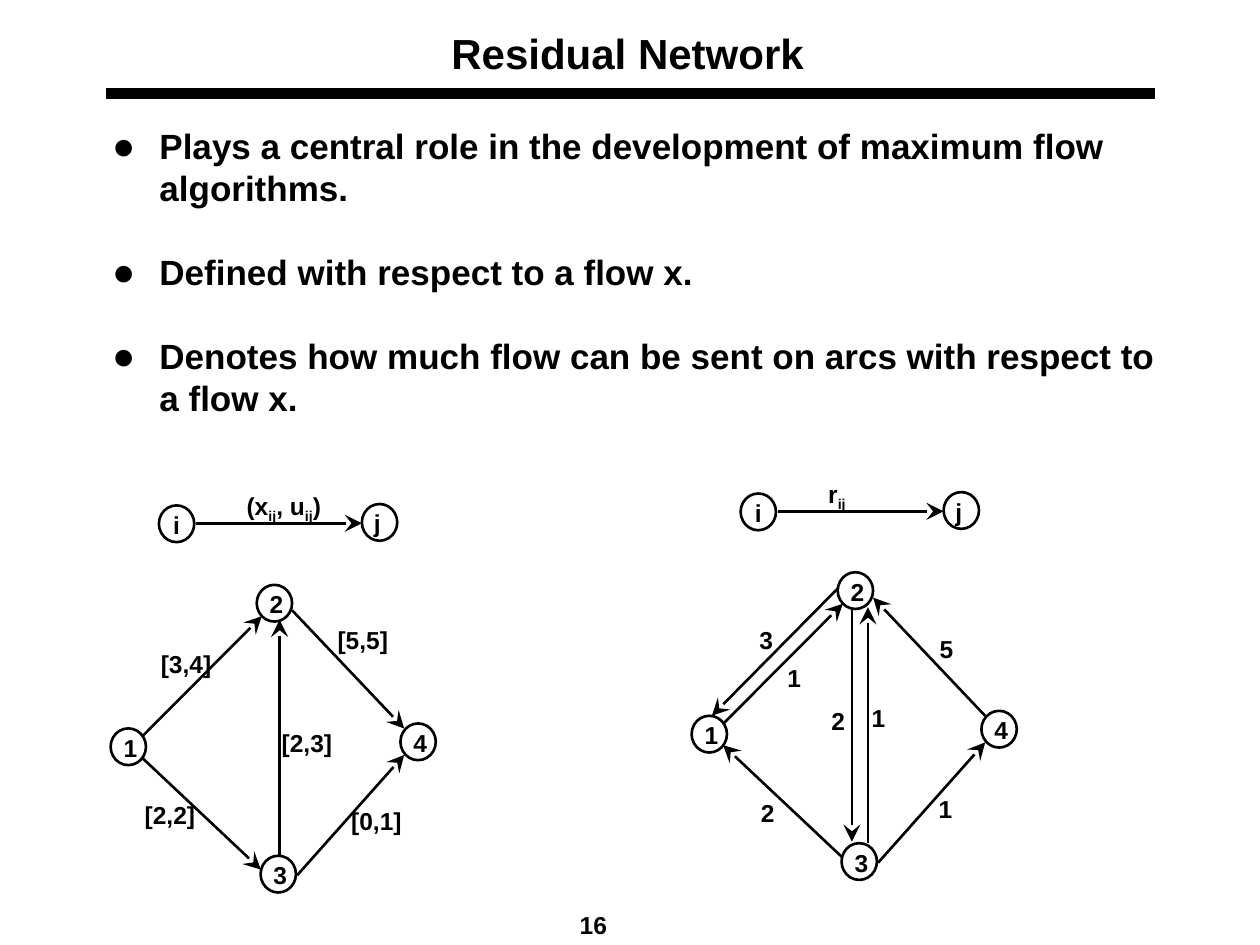
import pptx
import pptx.util
import pptx.dml.color
import pptx.enum.shapes
import pptx.enum.text
import pptx.oxml.ns
from lxml import etree

Pt = pptx.util.Pt
qn = pptx.oxml.ns.qn
ALIGN = pptx.enum.text.PP_ALIGN
INK = "000000"
NODE_W, NODE_H = 20.2, 21
TEXT_H = 24.5
DIGIT_W, PAIR_W = 22.3, 43.2

# Network geometry, relative to the top left of the network box
NODES = {"1": (0, 82), "2": (83.5, 0), "3": (85.7, 154.8), "4": (165.6, 79.2)}
ARC_12 = (18.7, 86, 86.4, 18)
ARC_13 = (18, 98.8, 85.9, 162.7)
ARC_24 = (103.7, 14.5, 167.8, 82.1)
ARC_34 = (106.6, 166, 167.8, 97.2)


def color(hex_code):
    return pptx.dml.color.RGBColor.from_string(hex_code)


def reverse(arc):
    return arc[2:] + arc[:2]


def add_run(p, text, size, baseline=0):
    r = p.add_run()
    r.text = text
    r.font.name = "Arial"
    r.font.size = Pt(size)
    r.font.bold = True
    r.font.color.rgb = color(INK)
    if baseline:
        r.font._element.set("baseline", str(baseline))


def add_line(shapes, arc, width=1.5, arrow=True):
    line = shapes.add_connector(
        pptx.enum.shapes.MSO_CONNECTOR.STRAIGHT, *(Pt(v) for v in arc))
    line.line.color.rgb = color(INK)
    line.line.width = Pt(width)
    if arrow:
        etree.SubElement(line.line._get_or_add_ln(), qn("a:tailEnd"),
                         type="stealth", w="lg", len="lg")
    etree.SubElement(line._element.spPr, qn("a:effectLst"))


def add_label(shapes, x, y, w, parts, h=TEXT_H):
    """Every second part is a subscript."""
    tf = shapes.add_textbox(Pt(x), Pt(y), Pt(w), Pt(h)).text_frame
    tf.word_wrap = False
    tf.auto_size = pptx.enum.text.MSO_AUTO_SIZE.SHAPE_TO_FIT_TEXT
    for i, part in enumerate(parts):
        add_run(tf.paragraphs[0], part, 14, -25000 if i % 2 else 0)


def add_node(shapes, x, y, name, text_w=DIGIT_W, text_dx=0.3):
    sp = shapes.add_shape(pptx.enum.shapes.MSO_SHAPE.OVAL,
                          Pt(x), Pt(y), Pt(NODE_W), Pt(NODE_H))
    sp.shadow.inherit = False
    sp.fill.background()
    sp.line.color.rgb = color(INK)
    sp.line.width = Pt(1.5)
    add_label(shapes, x + text_dx, y - 1, text_w, [name])


def add_legend(s, left, top, caption, caption_w):
    shapes = s.shapes.add_group_shape().shapes
    add_node(shapes, left, top, "i", 18, 1)
    add_node(shapes, left + 116, top - 0.8, "j", 18, -0.3)
    add_line(shapes, (left + 21.4, top + 10.2, left + 116, top + 10.2))
    add_label(shapes, left + 43, top - 11.8, caption_w, caption, 26.6)


def add_network(s, left, top, arcs, labels, label_w):
    shapes = s.shapes.add_group_shape().shapes
    for name, (x, y) in NODES.items():
        add_node(shapes, left + x, top + y, name)
    for x1, y1, x2, y2 in arcs:
        add_line(shapes, (left + x1, top + y1, left + x2, top + y2))
    for text, x, y in labels:
        add_label(shapes, left + x, top + y, label_w, [text])


def place(sp, left, top, width, height):
    sp.left, sp.top, sp.width, sp.height = map(Pt, (left, top, width, height))
    sp.text_frame.auto_size = pptx.enum.text.MSO_AUTO_SIZE.NONE
    return sp.text_frame


def fill_title(sp, box, text):
    tf = place(sp, *box)
    tf.vertical_anchor = pptx.enum.text.MSO_ANCHOR.MIDDLE
    p = tf.paragraphs[0]
    p.alignment = ALIGN.CENTER
    add_run(p, text, 24)


def fill_bullets(sp, box, items):
    tf = place(sp, *box)
    for i, item in enumerate(items):
        p = tf.add_paragraph() if i else tf.paragraphs[0]
        p.line_spacing = Pt(24)
        p.space_before = Pt(24 if i else 0)
        pPr = p._p.get_or_add_pPr()
        pPr.set("marL", str(Pt(27)))
        pPr.set("indent", str(-Pt(27)))
        bullet_color = etree.SubElement(pPr, qn("a:buClr"))
        etree.SubElement(bullet_color, qn("a:srgbClr"), val=INK)
        etree.SubElement(pPr, qn("a:buSzPct"), val="110000")
        etree.SubElement(pPr, qn("a:buFont"), typeface="Arial")
        etree.SubElement(pPr, qn("a:buChar"), char="●")
        add_run(p, item, 20)


def add_page_number(s, box, number):
    tf = s.shapes.add_textbox(*map(Pt, box)).text_frame
    tf.word_wrap = True
    p = tf.paragraphs[0]
    p.alignment = ALIGN.CENTER
    add_run(p, number, 14)


def main():
    prs = pptx.Presentation()
    prs.slide_width, prs.slide_height = Pt(720), Pt(540)
    s = prs.slides.add_slide(prs.slide_layouts[1])

    add_line(s.shapes, (60.3, 53.3, 660.2, 53.3), 6, arrow=False)
    fill_title(s.shapes.title, (52.6, 16.6, 612, 26.6), "Residual Network")
    fill_bullets(s.placeholders[1], (56.9, 67.7, 612, 175.7), [
        "Plays a central role in the development of maximum flow algorithms.",
        "Defined with respect to a flow x.",
        "Denotes how much flow can be sent on arcs with respect to a flow x.",
    ])

    add_legend(s, 90.8, 288.8, ["(x", "ij", ", u", "ij", ")"], 56.9)
    add_legend(s, 423.2, 282, ["r", "ij"], 24.5)

    add_network(
        s, 63.2, 334.2,
        [ARC_12, ARC_24, ARC_13, ARC_34, (96.6, 154.6, 96.6, 20)],
        [("[3,4]", 21.6, 33.1), ("[2,2]", 12.4, 119.5), ("[2,3]", 90.7, 78.5),
         ("[5,5]", 122.6, 19.4), ("[0,1]", 130.4, 123.1)], PAIR_W)
    add_network(
        s, 395.2, 327,
        [ARC_12, ARC_34, reverse(ARC_24), reverse(ARC_13),
         (100.8, 154.6, 100.8, 20), (91.6, 20.8, 91.6, 154),
         (83.6, 9.2, 11.6, 82)],
        [("3", 31.7, 26.6), ("1", 47.6, 48.2), ("5", 134.6, 31.7),
         ("1", 95.8, 71.3), ("2", 72.8, 72.7), ("1", 134, 123.1),
         ("2", 32.5, 125.2)], DIGIT_W)

    add_page_number(s, (264.2, 516.2, 149.8, 18), "16")
    prs.save("out.pptx")


if __name__ == "__main__":
    main()
